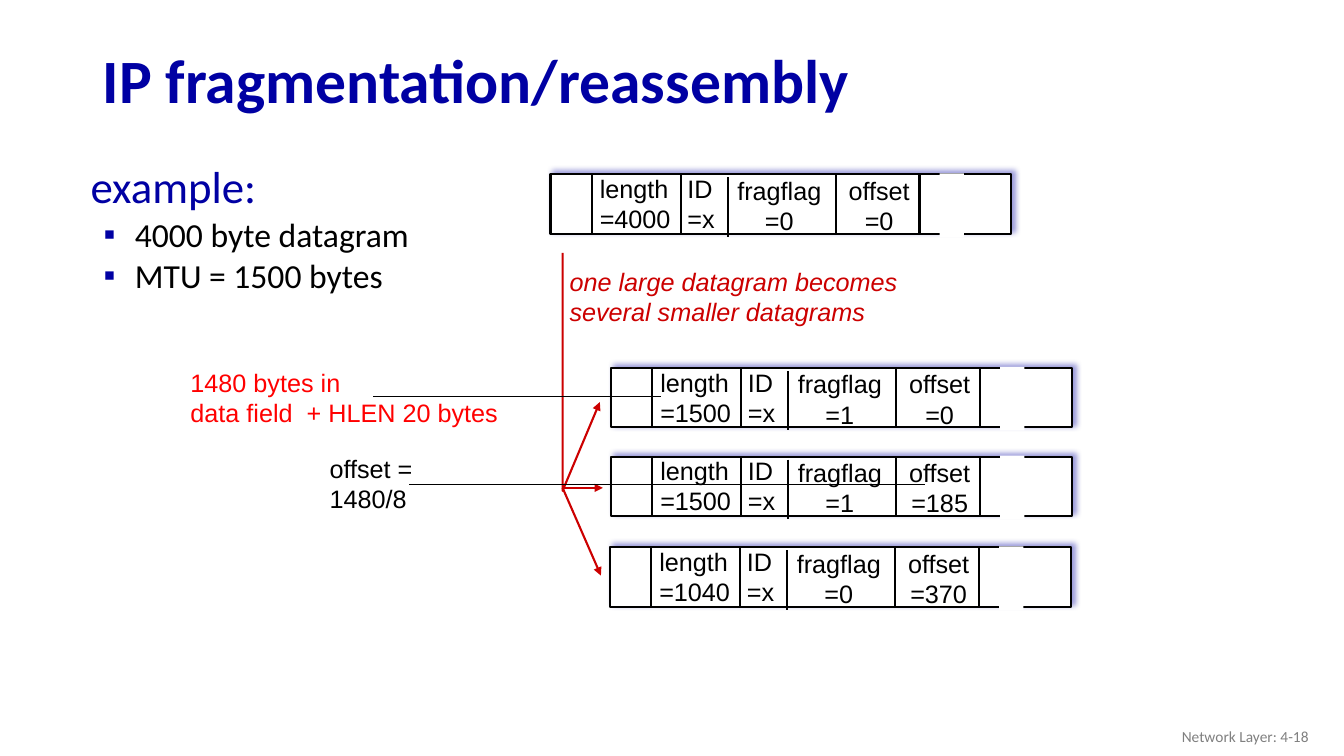
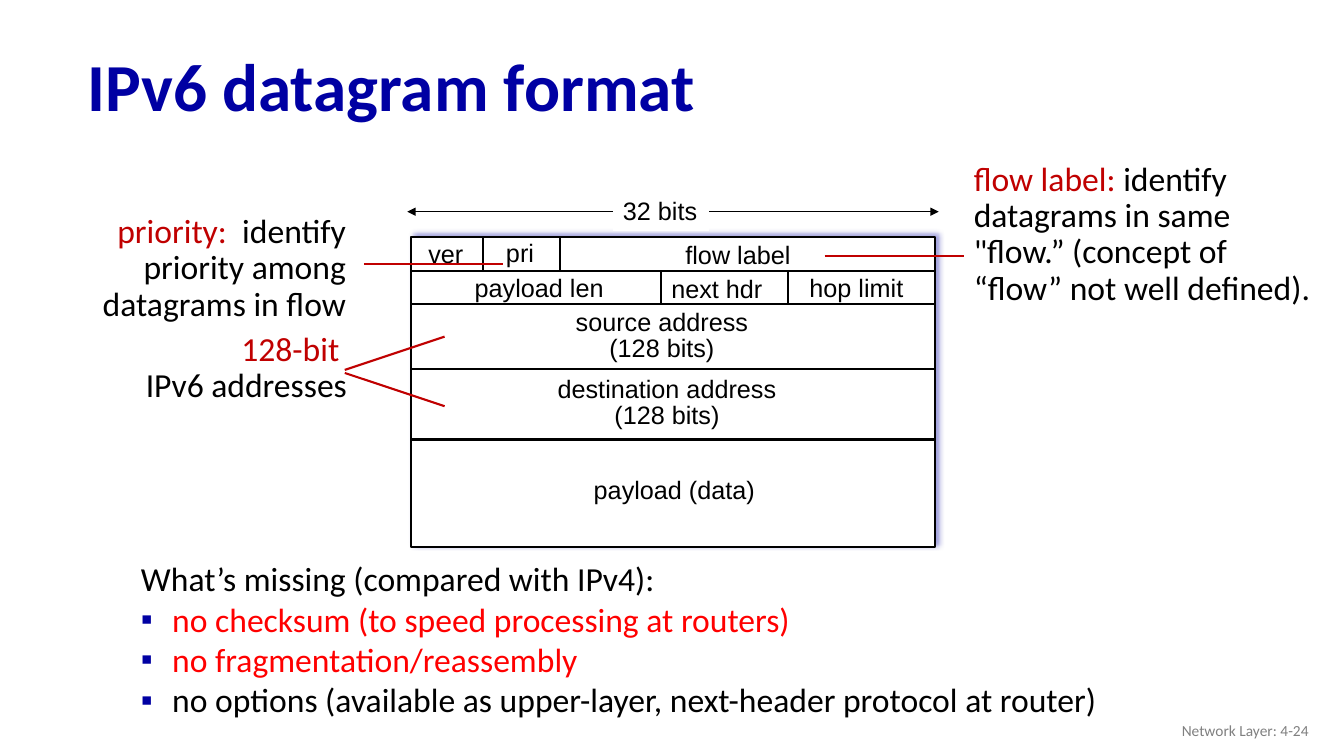
from lxml import etree
from pptx import Presentation
from pptx import util as u
from pptx.dml.color import RGBColor
from pptx.enum import shapes, text
from pptx.oxml.ns import qn

NAVY, BLACK, WHITE, GREY = "0000A3", "000000", "FFFFFF", "808080"
CRIMSON, RED, DARK_RED = "CC0000", "FF0000", "C00000"
HEAD_FONT, LABEL_FONT = "Calibri", "Arial"
LEFT, CENTER, RIGHT = text.PP_ALIGN.LEFT, text.PP_ALIGN.CENTER, text.PP_ALIGN.RIGHT
TOP, MIDDLE = text.MSO_ANCHOR.TOP, text.MSO_ANCHOR.MIDDLE


def rgb(color):
    return RGBColor.from_string(color)


def inches(*values):
    return [u.Inches(v) for v in values]


def add_bullet(p, margin, color):
    """Hang a square bullet 0.31 inches left of the margin."""
    pPr = p._p.get_or_add_pPr()
    pPr.set("marL", str(u.Inches(margin)))
    pPr.set("indent", str(-u.Inches(0.31)))
    bu_color = etree.SubElement(pPr, qn("a:buClr"))
    etree.SubElement(bu_color, qn("a:srgbClr"), val=color)
    etree.SubElement(pPr, qn("a:buFont"), typeface=LABEL_FONT)
    etree.SubElement(pPr, qn("a:buChar"), char="▪")


def write(tf, paragraphs, size=18, font=LABEL_FONT, color=BLACK, bold=False,
          italic=False, align=LEFT, spacing=None, before=0, bullet=None):
    """Append paragraphs; each is a string or a list of (text, colour) runs."""
    for content in paragraphs:
        p = tf.paragraphs[0]
        if p.runs:
            p = tf.add_paragraph()
        if bullet:
            add_bullet(p, bullet, NAVY)
        p.alignment = align
        if spacing:
            p.line_spacing = spacing
        if before:
            p.space_before = u.Pt(before)
        runs = [(content, color)] if isinstance(content, str) else content
        for run_text, run_color in runs:
            r = p.add_run()
            r.text = run_text
            r.font.size = u.Pt(size)
            r.font.name = font
            r.font.bold = bold
            r.font.italic = italic
            r.font.color.rgb = rgb(run_color)


def add_text(s, box, paragraphs, wrap=False, anchor=TOP, fill=None, **style):
    sp = s.shapes.add_textbox(*inches(*box))
    if fill:
        sp.fill.solid()
        sp.fill.fore_color.rgb = rgb(fill)
    tf = sp.text_frame
    tf.word_wrap = wrap
    tf.vertical_anchor = anchor
    write(tf, paragraphs, **style)
    return tf


def add_rect(s, box, outlined=True):
    sp = s.shapes.add_shape(shapes.MSO_SHAPE.RECTANGLE, *inches(*box))
    sp.shadow.inherit = False
    sp.fill.solid()
    sp.fill.fore_color.rgb = rgb(WHITE)
    if outlined:
        sp.line.color.rgb = rgb(BLACK)
        sp.line.width = u.Pt(1.5)
    else:
        sp.line.fill.background()
    return sp


def add_frame(s, box):
    """Outlined rectangle with a soft navy shadow to the upper right."""
    effects = add_rect(s, box)._element.spPr.find(qn("a:effectLst"))
    shadow = etree.SubElement(effects, qn("a:outerShdw"), blurRad=str(u.Pt(4)),
                              dist=str(u.Pt(3)), dir="18900000", algn="bl", rotWithShape="0")
    shade = etree.SubElement(shadow, qn("a:srgbClr"), val=NAVY)
    etree.SubElement(shade, qn("a:alpha"), val="40000")


def style_line(sp, color, width, ends=()):
    sp.line.color.rgb = rgb(color)
    sp.line.width = u.Pt(width)
    ln = sp._element.spPr.find(qn("a:ln"))
    for end in ends:
        etree.SubElement(ln, qn(f"a:{end}"), type="triangle")


def add_line(s, x1, y1, x2, y2, color=BLACK, width=1.5, ends=()):
    sp = s.shapes.add_connector(shapes.MSO_CONNECTOR.STRAIGHT, *inches(x1, y1, x2, y2))
    style_line(sp, color, width, ends)
    etree.SubElement(sp._element.spPr, qn("a:effectLst"))


def add_slide(prs, title, title_box, title_size, number, footer_top):
    s = prs.slides.add_slide(prs.slide_layouts[5])
    sp = s.shapes.title
    sp.left, sp.top, sp.width, sp.height = inches(*title_box)
    tf = sp.text_frame
    tf.auto_size = text.MSO_AUTO_SIZE.NONE
    tf.vertical_anchor = MIDDLE
    write(tf, [title], size=title_size, font=HEAD_FONT, color=NAVY, bold=True, spacing=0.9)
    add_text(s, (10.08, footer_top, 3, 0.4), [f"Network Layer: {number}"], wrap=True,
             anchor=MIDDLE, size=11, font=HEAD_FONT, color=GREY, align=RIGHT)
    return s


def datagram(s, x, y, length, flag, offset):
    """Draw a header strip whose open right part stands for the payload."""
    add_frame(s, (x, y, 4.57, 0.59))
    fields = [
        (0.39, -0.06, 0.95, "length", length, LEFT),
        (1.26, -0.06, 0.5, "ID", "x", LEFT),
        (1.67, -0.04, 1.2, "fragflag", flag, CENTER),
        (2.81, -0.04, 0.9, "offset", offset, CENTER),
    ]
    for dx, dy, width, name, value, align in fields:
        add_text(s, (x + dx, y + dy, width, 0.7), [name, f"={value}"], align=align)
    for dx, dy in [(0.41, 0), (1.29, 0), (1.76, 0.03), (2.83, 0), (3.66, 0)]:
        add_line(s, x + dx, y + dy, x + dx, y + dy + 0.59)
    add_rect(s, (x + 3.86, y - 0.01, 0.24, 0.63), outlined=False)


def split_arrows(s, x, y):
    """Lead from the large datagram at the top down to three fragments."""
    points = [(x, y), (x, y + 2.36), (x + 0.37, y + 1.48)]
    start, *rest = [inches(*point) for point in points]
    builder = s.shapes.build_freeform(*start)
    builder.add_line_segments(rest, close=False)
    sp = builder.convert_to_shape()
    sp.shadow.inherit = False
    sp.fill.background()
    style_line(sp, CRIMSON, 1.5, ["tailEnd"])
    for dx, dy in [(0.4, 2.33), (0.38, 3.2)]:
        add_line(s, x, y + 2.33, x + dx, y + dy, CRIMSON, ends=["tailEnd"])
    add_text(s, (x - 0.03, y + 0.08, 3.45, 0.7),
             ["one large datagram becomes", "several smaller datagrams"],
             color=CRIMSON, italic=True)


def fragmentation_slide(prs):
    s = add_slide(prs, "IP fragmentation/reassembly", (0.92, 0.34, 11.5, 0.98), 44, "4-18", 7.11)
    datagram(s, 5.46, 1.73, 4000, 0, 0)
    fragments = [(6.06, 3.65, 1500, 1, 0), (6.06, 4.53, 1500, 1, 185), (6.05, 5.43, 1040, 0, 370)]
    for fragment in fragments:
        datagram(s, *fragment)
    split_arrows(s, 5.58, 2.51)

    tf = add_text(s, (0.8, 1.61, 4.16, 1.84), ["example:"], wrap=True, size=32,
                  font=HEAD_FONT, color=NAVY, spacing=0.85)
    write(tf, ["4000 byte datagram", "MTU = 1500 bytes"], size=24, font=HEAD_FONT,
          spacing=0.85, before=4.8, bullet=0.44)
    add_text(s, (1.79, 3.59, 3.71, 0.71),
             ["1480 bytes in", "data field  + HLEN 20 bytes"], wrap=True, color=RED)
    add_text(s, (3.17, 4.45, 1.03, 0.7), ["offset =", "1480/8"])
    add_line(s, 3.7, 3.93, 6.56, 3.93, width=0.75)
    add_line(s, 4.06, 4.81, 9.17, 4.81, width=0.75)


def header_diagram(s, x, y, width, height):
    add_frame(s, (x, y, width, height))
    for dy in (0.34, 0.67, 1.31, 2.01):
        add_line(s, x, y + dy, x + width, y + dy)
    for dx, dy in [(0.71, 0.01), (1.47, 0.01), (2.48, 0.34), (3.74, 0.34)]:
        add_line(s, x + dx, y + dy, x + dx, y + dy + 0.32)
    labels = [
        (0.07, -0.03, 0.55, "ver"),
        (0.84, -0.04, 0.48, "pri"),
        (2.62, -0.02, 1.24, "flow label"),
        (0.53, 0.3, 1.48, "payload len"),
        (2.48, 0.31, 1.1, "next hdr"),
        (3.85, 0.3, 1.13, "hop limit"),
        (1.71, 2.31, 1.81, "payload (data)"),
    ]
    for dx, dy, label_width, label in labels:
        add_text(s, (x + dx, y + dy, label_width, 0.4), [label])
    for dx, dy, label_width, name in [(1.53, 0.69, 1.91, "source"), (1.35, 1.35, 2.37, "destination")]:
        add_text(s, (x + dx, y + dy, label_width, 0.61), [f"{name} address", "(128 bits)"],
                 align=CENTER, spacing=0.85)
    add_line(s, x - 0.04, y - 0.25, x + width + 0.04, y - 0.25, width=0.75,
             ends=["headEnd", "tailEnd"])
    add_text(s, (x + 2, y - 0.46, 0.95, 0.4), ["32 bits"], fill=WHITE)


def callout(s, box, paragraphs, lines, align=LEFT):
    add_text(s, box, paragraphs, wrap=True, size=24, font=HEAD_FONT, align=align, spacing=0.9)
    for line in lines:
        add_line(s, *line, color=DARK_RED)


def ipv6_slide(prs):
    s = add_slide(prs, "IPv6 datagram format", (0.77, 0.31, 11.5, 1.17), 48, "4-24", 7.05)
    header_diagram(s, 4.08, 2.35, 5.19, 3.08)
    callout(s, (0.17, 2.08, 3.36, 1.19),
            [[("priority:  ", DARK_RED), ("identify priority among datagrams in flow", BLACK)]],
            [(3.61, 2.62, 4.99, 2.62)], RIGHT)
    callout(s, (9.56, 1.56, 3.54, 1.56),
            [[("flow label: ", DARK_RED),
              ("identify datagrams in same \"flow.” (concept of “flow” not well defined).", BLACK)]],
            [(8.18, 2.54, 9.56, 2.54)])
    callout(s, (0, 3.25, 3.54, 0.83), [[("128-bit ", DARK_RED)], "IPv6 addresses"],
            [(3.42, 3.7, 4.41, 4.03), (3.42, 3.67, 4.41, 3.34)], RIGHT)

    tf = add_text(s, (1.3, 5.49, 9.81, 1.72), ["What’s missing (compared with IPv4):"],
                  wrap=True, size=24, font=HEAD_FONT)
    missing = [
        [("no checksum (to speed processing at routers)", RED)],
        [("no fragmentation/reassembly", RED)],
        "no options (available as upper-layer, next-header protocol at router)",
    ]
    write(tf, missing, size=24, font=HEAD_FONT, bullet=0.31)


def main():
    prs = Presentation()
    prs.slide_width, prs.slide_height = inches(13.33, 7.5)
    fragmentation_slide(prs)
    ipv6_slide(prs)
    prs.save("out.pptx")


if __name__ == "__main__":
    main()
